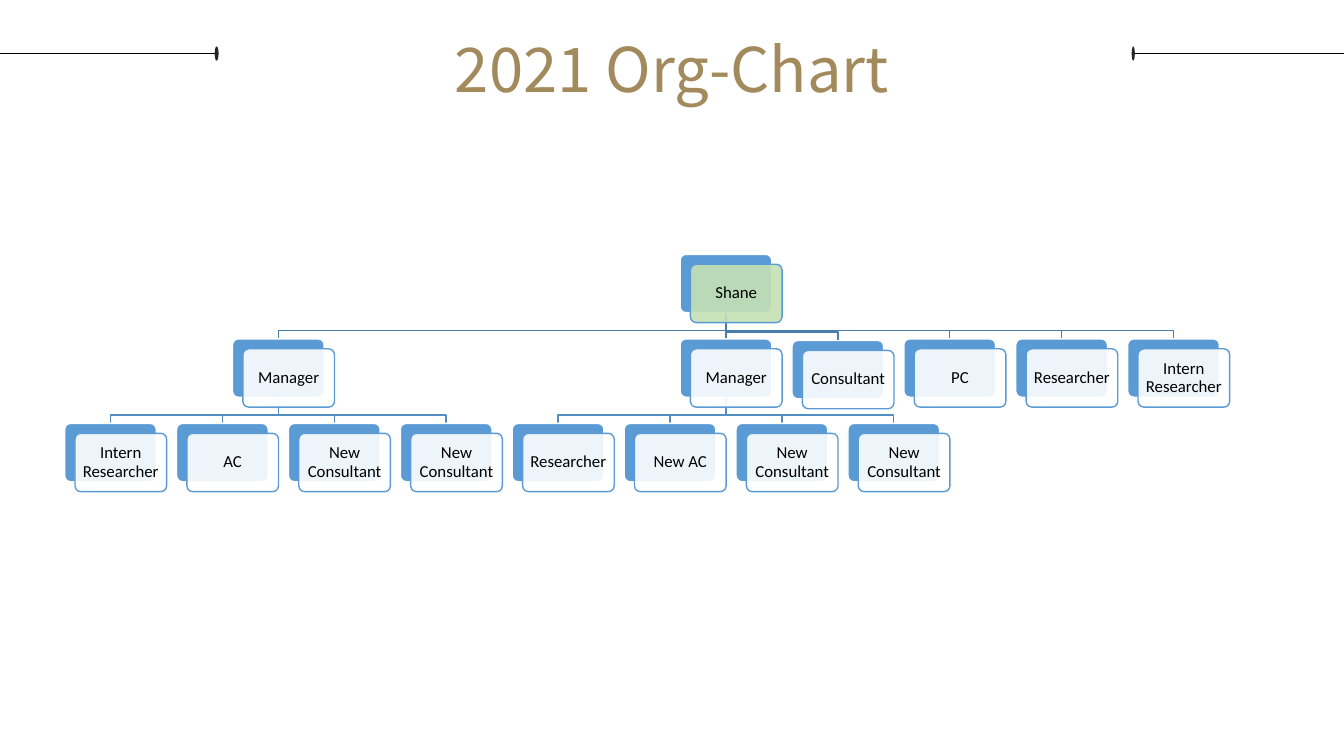
from dataclasses import dataclass
from typing import Optional

from lxml import etree
from pptx import Presentation
from pptx import util as u
from pptx.dml.color import RGBColor
from pptx.enum import shapes, text
from pptx.oxml.ns import qn

COLORS = {
    "title": "A38A5D", "rule": "000000", "dot": "252525",
    "back": "5B9BD5", "edge": "FFFFFF", "card": "FFFFFF", "lead": "C5E0B4",
    "top_link": "497CAB", "low_link": "538DC1", "label": "000000",
}

# Chart grid, in centimetres
LEFT, TOP = 1.63, 6.41
COLUMN_STEP, TIER_STEP = 2.82, 2.13
BOX_W, BOX_H = 2.31, 1.47
CARD_DX, CARD_DY = 0.26, 0.25
BEND = 0.21


@dataclass(frozen=True)
class Post:
    label: str
    column: float
    tier: int
    boss: Optional["Post"] = None
    drop: float = 0
    fill: str = "card"

    @property
    def left(self) -> float:
        return LEFT + self.column * COLUMN_STEP

    @property
    def top(self) -> float:
        return TOP + self.tier * TIER_STEP + self.drop

    @property
    def center(self) -> float:
        return self.left + BOX_W / 2


@dataclass(frozen=True)
class Rule:
    start: float
    end: float
    dot_left: float
    dot_width: float


def rgb(name: str) -> RGBColor:
    return RGBColor.from_string(COLORS[name])


def style_line(shape, color: str, points: float) -> None:
    shape.line.color.rgb = rgb(color)
    shape.line.width = u.Pt(points)


def add_preset(slide, kind, left: float, top: float, width: float, height: float, fill: str):
    shape = slide.shapes.add_shape(kind, u.Cm(left), u.Cm(top), u.Cm(width), u.Cm(height))
    shape.shadow.inherit = False
    shape.fill.solid()
    shape.fill.fore_color.rgb = rgb(fill)
    return shape


def add_straight(slide, x1: float, y1: float, x2: float, y2: float,
                 color: str, points: float) -> None:
    line = slide.shapes.add_connector(
        shapes.MSO_CONNECTOR.STRAIGHT, u.Cm(x1), u.Cm(y1), u.Cm(x2), u.Cm(y2))
    style_line(line, color, points)
    etree.SubElement(line._element.spPr, qn("a:effectLst"))


def add_rule(slide, rule: Rule) -> None:
    add_straight(slide, rule.start, 1.35, rule.end, 1.35, "rule", 0.75)
    dot = add_preset(slide, shapes.MSO_SHAPE.OVAL, rule.dot_left, 1.17,
                     rule.dot_width, 0.36, "dot")
    dot.line.fill.background()


def add_title(slide, wording: str) -> None:
    title = slide.shapes.add_textbox(u.Cm(5.33), u.Cm(-0.28), u.Cm(23.22), u.Cm(2.74))
    frame = title.text_frame
    frame.word_wrap = True
    frame.auto_size = text.MSO_AUTO_SIZE.SHAPE_TO_FIT_TEXT
    frame.text = wording
    heading = frame.paragraphs[0]
    heading.alignment = text.PP_ALIGN.CENTER
    heading.line_spacing = 1.5
    font = heading.runs[0].font
    font.name, font.size = "Noto Sans CJK SC", u.Pt(44)
    font.color.rgb = rgb("title")


def add_link(slide, boss: Post, post: Post) -> None:
    color = "top_link" if boss.tier == 0 else "low_link"
    start = boss.top + BOX_H
    if boss.column == post.column:
        add_straight(slide, boss.center, start, post.center, post.top, color, 1)
        return
    bend = post.top - BEND
    points = [(boss.center, bend), (post.center, bend), (post.center, post.top)]
    builder = slide.shapes.build_freeform(u.Cm(boss.center), u.Cm(start))
    builder.add_line_segments([(u.Cm(x), u.Cm(y)) for x, y in points], close=False)
    link = builder.convert_to_shape()
    link.shadow.inherit = False
    link.fill.background()
    style_line(link, color, 1)


def add_post(slide, post: Post) -> None:
    rounded = shapes.MSO_SHAPE.ROUNDED_RECTANGLE
    back = add_preset(slide, rounded, post.left, post.top, BOX_W, BOX_H, "back")
    style_line(back, "edge", 1)
    card = add_preset(slide, rounded, post.left + CARD_DX, post.top + CARD_DY,
                      BOX_W, BOX_H, post.fill)
    style_line(card, "back", 1)
    for layer in (back, card):
        layer.adjustments[0] = 0.1
    tint = card._element.spPr.find(qn("a:solidFill"))[0]
    etree.SubElement(tint, qn("a:alpha"), val="90000")

    frame = card.text_frame
    frame.word_wrap = True
    frame.vertical_anchor = text.MSO_ANCHOR.MIDDLE
    frame.margin_left = frame.margin_right = u.Cm(0.15)
    frame.margin_top = frame.margin_bottom = u.Cm(0.15)
    frame.text = post.label
    label = frame.paragraphs[0]
    label.alignment = text.PP_ALIGN.CENTER
    label.line_spacing = 0.9
    font = label.runs[0].font
    font.name, font.size = "Calibri", u.Pt(12)
    font.color.rgb = rgb("label")


def build_posts() -> list[Post]:
    shane = Post("Shane", 5.5, 0, fill="lead")
    first_manager = Post("Manager", 1.5, 1, shane)
    second_manager = Post("Manager", 5.5, 1, shane)
    first_team = ["Intern Researcher", "AC", "New Consultant", "New Consultant"]
    second_team = ["Researcher", "New AC", "New Consultant", "New Consultant"]
    direct_reports = ["PC", "Researcher", "Intern Researcher"]
    return [
        shane,
        first_manager,
        *(Post(name, i, 2, first_manager) for i, name in enumerate(first_team)),
        second_manager,
        *(Post(name, i, 2, second_manager) for i, name in enumerate(second_team, 4)),
        Post("Consultant", 6.5, 1, shane, drop=0.04),
        *(Post(name, i + 0.5, 1, shane) for i, name in enumerate(direct_reports, 7)),
    ]


def main() -> None:
    deck = Presentation()
    deck.slide_width, deck.slide_height = u.Cm(33.87), u.Cm(19.05)
    slide = deck.slides.add_slide(deck.slide_layouts[6])

    # Heading between two dotted rules
    for rule in (Rule(0, 5.44, 5.41, 0.1), Rule(28.58, 33.87, 28.52, 0.08)):
        add_rule(slide, rule)
    add_title(slide, "2021 Org-Chart")

    # Links lie behind the boxes
    posts = build_posts()
    for post in reversed(posts):
        if post.boss:
            add_link(slide, post.boss, post)
    for post in posts:
        add_post(slide, post)

    deck.save("out.pptx")


if __name__ == "__main__":
    main()
